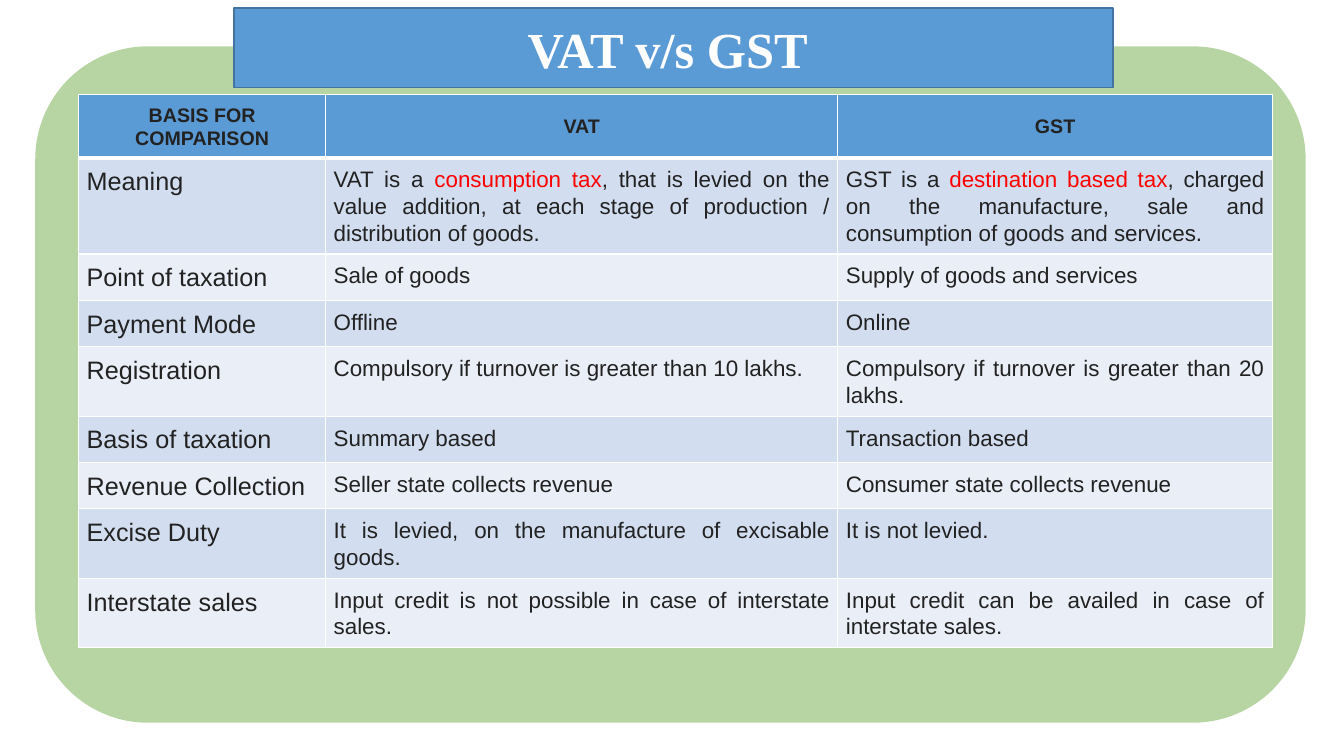
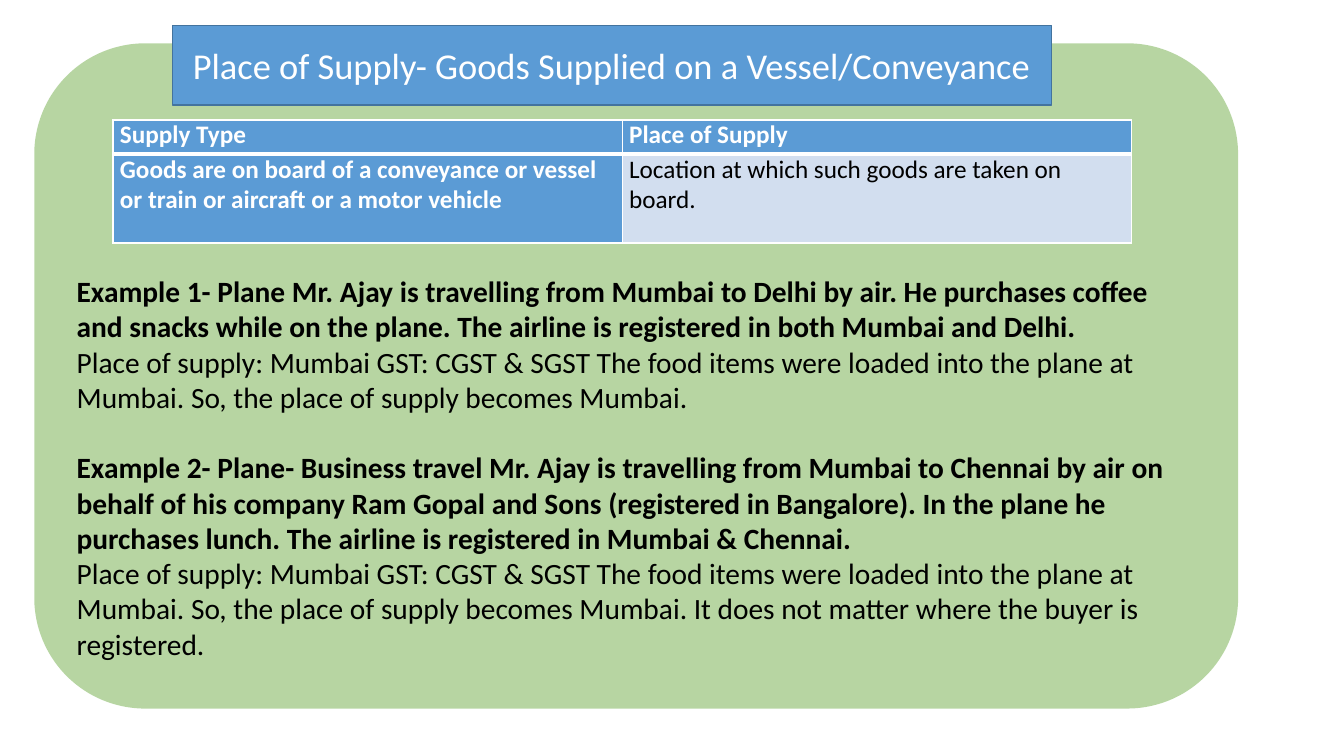
"""Build two slides on VAT, GST and the place of supply."""
from dataclasses import dataclass

from lxml.etree import SubElement
from pptx import Presentation
from pptx.dml.color import RGBColor
from pptx.enum.shapes import MSO_SHAPE
from pptx.enum.text import MSO_ANCHOR, MSO_AUTO_SIZE, PP_ALIGN
from pptx.oxml.ns import qn
from pptx.util import Pt

SCALE = 9144


@dataclass(frozen=True)
class Theme:
    panel: str = "70AD47"
    blue: str = "5B9BD5"
    blue_edge: str = "43739E"
    bands: tuple = ("D2DEEF", "EAEFF7")
    white: str = "FFFFFF"
    black: str = "000000"
    ink: str = "222222"
    red: str = "FF0000"
    serif: str = "Times New Roman"
    sans: str = "Arial"
    body: str = "Calibri"
    title_large: int = 36
    title_small: int = 26
    example: int = 21
    label: int = 18
    detail: int = 16
    heading: int = 14


THEME = Theme()

COMPARISON_TITLE = "VAT v/s GST "
COMPARISON_HEADINGS = ("BASIS FOR COMPARISON", "VAT", "GST")
COMPARISON_ROWS = [
    ("Meaning",
     [("VAT is a ", THEME.ink), ("consumption tax", THEME.red),
      (", that is levied on the value addition, at each stage of production / "
       "distribution of goods.", THEME.ink)],
     [("GST is a ", THEME.ink), ("destination based tax", THEME.red),
      (", charged on the manufacture, sale and consumption of goods and services.", THEME.ink)]),
    ("Point of taxation", "Sale of goods", "Supply of goods and services"),
    ("Payment Mode", "Offline", "Online"),
    ("Registration", "Compulsory if turnover is greater than 10 lakhs.",
     "Compulsory if turnover is greater than 20 lakhs."),
    ("Basis of taxation", "Summary based", "Transaction based"),
    ("Revenue Collection", "Seller state collects revenue", "Consumer state collects revenue"),
    ("Excise Duty", "It is levied, on the manufacture of excisable goods.", "It is not levied."),
    ("Interstate sales", "Input credit is not possible in case of interstate sales.",
     "Input credit can be availed in case of interstate sales."),
]
COMPARISON_COLUMNS = (245, 508, 431)
COMPARISON_HEIGHTS = (62, 95, 46, 46, 69, 46, 46, 69, 69)

SUPPLY_TITLE = "Place of Supply- Goods Supplied on a Vessel/Conveyance"
SUPPLY_ROWS = [
    ("Supply Type", "Place of Supply"),
    ("Goods are on board of a conveyance or vessel or train or aircraft or a motor vehicle",
     "Location at which such goods are taken on board."),
]
SUPPLY_COLUMNS = (505, 505)
SUPPLY_HEIGHTS = (34, 88)
EXAMPLES = [
    ("Example 1- Plane Mr. Ajay is travelling from Mumbai to Delhi by air. He purchases coffee "
     "and snacks while on the plane. The airline is registered in both Mumbai and Delhi.",
     "Place of supply: Mumbai GST: CGST & SGST The food items were loaded into the plane at "
     "Mumbai. So, the place of supply becomes Mumbai."),
    ("Example 2- Plane- Business travel Mr. Ajay is travelling from Mumbai to Chennai by air on "
     "behalf of his company Ram Gopal and Sons (registered in Bangalore). In the plane he "
     "purchases lunch. The airline is registered in Mumbai & Chennai.",
     "Place of supply: Mumbai GST: CGST & SGST The food items were loaded into the plane at "
     "Mumbai. So, the place of supply becomes Mumbai. It does not matter where the buyer is "
     "registered."),
]


def px(*lengths):
    """Turn pixel lengths into EMU."""
    return [length * SCALE for length in lengths]


def paint(target, color):
    """Give a shape or cell a solid fill."""
    target.fill.solid()
    target.fill.fore_color.rgb = RGBColor.from_string(color)


def write(frame, text, *, size, font, color, bold=False, align=PP_ALIGN.LEFT,
          spacing=None, before=0):
    """Add one paragraph, given as a string or as (text, color) spans."""
    para = frame.add_paragraph() if frame.text else frame.paragraphs[0]
    para.alignment = align
    para.line_spacing = spacing
    para.space_before = Pt(before)
    for words, shade in [(text, color)] if isinstance(text, str) else text:
        span = para.add_run()
        span.text = words
        span.font.size = Pt(size)
        span.font.name = font
        span.font.bold = bold
        span.font.color.rgb = RGBColor.from_string(shade)


def add_panel(page, bounds):
    """Add the half-transparent rounded panel."""
    panel = page.shapes.add_shape(MSO_SHAPE.ROUNDED_RECTANGLE, *px(*bounds))
    panel.shadow.inherit = False
    panel.line.fill.background()
    paint(panel, THEME.panel)
    shade = panel.element.spPr.find(qn("a:solidFill"))[0]
    SubElement(shade, qn("a:alpha"), val="50000")
    return panel


def add_title(page, text, left, top, size, font, bold=False):
    """Shape the title placeholder as a rounded band in front of the panel."""
    title = page.shapes.title
    title.left, title.top, title.width, title.height = px(left, top, 872, 79)
    outline = SubElement(title.element.spPr, qn("a:prstGeom"), prst="roundRect")
    SubElement(outline, qn("a:avLst"))
    paint(title, THEME.blue)
    title.line.color.rgb = RGBColor.from_string(THEME.blue_edge)
    title.line.width = Pt(1)
    frame = title.text_frame
    frame.auto_size = MSO_AUTO_SIZE.NONE
    frame.word_wrap = True
    frame.vertical_anchor = MSO_ANCHOR.MIDDLE
    write(frame, text, size=size, font=font, color=THEME.white, bold=bold,
          align=PP_ALIGN.CENTER)
    page.shapes.element.append(title.element)


def add_grid(page, left, top, columns, heights):
    """Add an empty table with the given column widths and row heights."""
    frame = page.shapes.add_table(len(heights), len(columns),
                                  *px(left, top, sum(columns), sum(heights)))
    for column, width in zip(frame.table.columns, px(*columns)):
        column.width = width
    for row, height in zip(frame.table.rows, px(*heights)):
        row.height = height
    return frame.table


def fill_cell(cell, text, fill, margins, *, top=1, bottom=1, anchor=MSO_ANCHOR.TOP, **style):
    """Write a cell and set its borders, margins and fill."""
    cell.margin_left = cell.margin_right = margins[0] * SCALE
    cell.margin_top = cell.margin_bottom = margins[1] * SCALE
    cell.vertical_anchor = anchor
    properties = cell._tc.get_or_add_tcPr()
    for side, width in (("L", 1), ("R", 1), ("T", top), ("B", bottom)):
        border = SubElement(properties, qn(f"a:ln{side}"), w=str(Pt(width)))
        SubElement(SubElement(border, qn("a:solidFill")), qn("a:srgbClr"), val=THEME.white)
    paint(cell, fill)
    write(cell.text_frame, text, **style)


def build_comparison(page):
    """Build the VAT and GST comparison."""
    add_panel(page, (35, 46, 1260, 671))
    add_title(page, COMPARISON_TITLE, 232, 8, THEME.title_large, THEME.serif, bold=True)
    table = add_grid(page, 78, 94, COMPARISON_COLUMNS, COMPARISON_HEIGHTS)
    shared = dict(margins=(8, 8), font=THEME.sans, color=THEME.ink, spacing=1.07)
    for column, heading in enumerate(COMPARISON_HEADINGS):
        fill_cell(table.cell(0, column), heading, THEME.blue, bottom=3, bold=True,
                  anchor=MSO_ANCHOR.MIDDLE, align=PP_ALIGN.CENTER, size=THEME.heading, **shared)
    for row, texts in enumerate(COMPARISON_ROWS, 1):
        for column, text in enumerate(texts):
            fill_cell(table.cell(row, column), text, THEME.bands[(row - 1) % 2],
                      top=3 if row == 1 else 1,
                      size=THEME.detail if column else THEME.label,
                      align=PP_ALIGN.JUSTIFY if column else PP_ALIGN.LEFT, **shared)


def build_supply(page):
    """Build the place of supply table and its examples."""
    panel = add_panel(page, (34, 43, 1194, 660))
    add_title(page, SUPPLY_TITLE, 171, 25, THEME.title_small, THEME.body)
    table = add_grid(page, 112, 119, SUPPLY_COLUMNS, SUPPLY_HEIGHTS)
    for row, texts in enumerate(SUPPLY_ROWS):
        for column, text in enumerate(texts):
            plain = row > 0 and column > 0
            fill_cell(table.cell(row, column), text, THEME.bands[0] if plain else THEME.blue,
                      (7, 0), top=3 if row else 1, bottom=1 if row else 3,
                      size=THEME.label, font=THEME.body, bold=not plain,
                      color=THEME.black if plain else THEME.white)
    frame = panel.text_frame
    frame.word_wrap = True
    frame.vertical_anchor = MSO_ANCHOR.TOP
    frame.margin_top = 196 * SCALE
    style = dict(size=THEME.example, font=THEME.body, color=THEME.black)
    for number, (question, answer) in enumerate(EXAMPLES):
        write(frame, question, bold=True, before=25 if number else 0, **style)
        write(frame, answer, **style)


def main():
    """Build and save the deck."""
    deck = Presentation()
    deck.slide_width, deck.slide_height = px(1333, 750)
    for build in (build_comparison, build_supply):
        build(deck.slides.add_slide(deck.slide_layouts[5]))
    deck.save("out.pptx")


if __name__ == "__main__":
    main()
